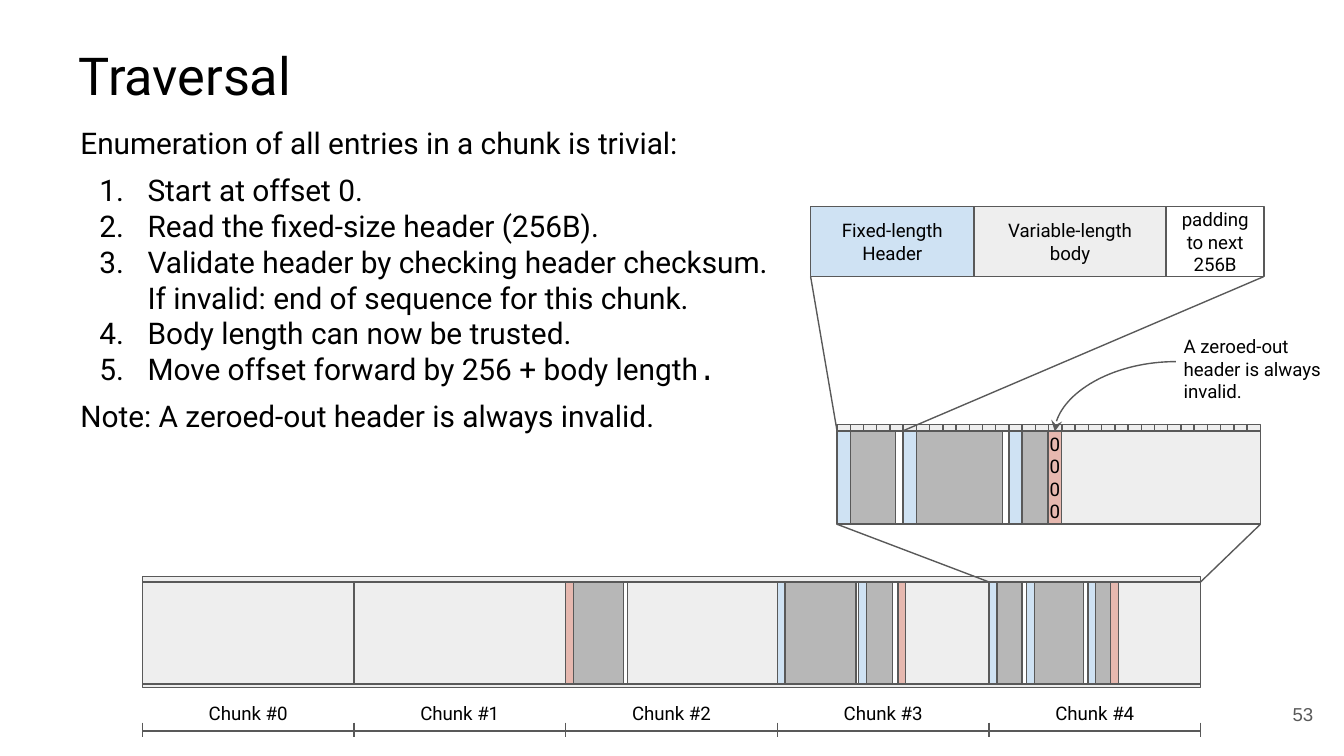
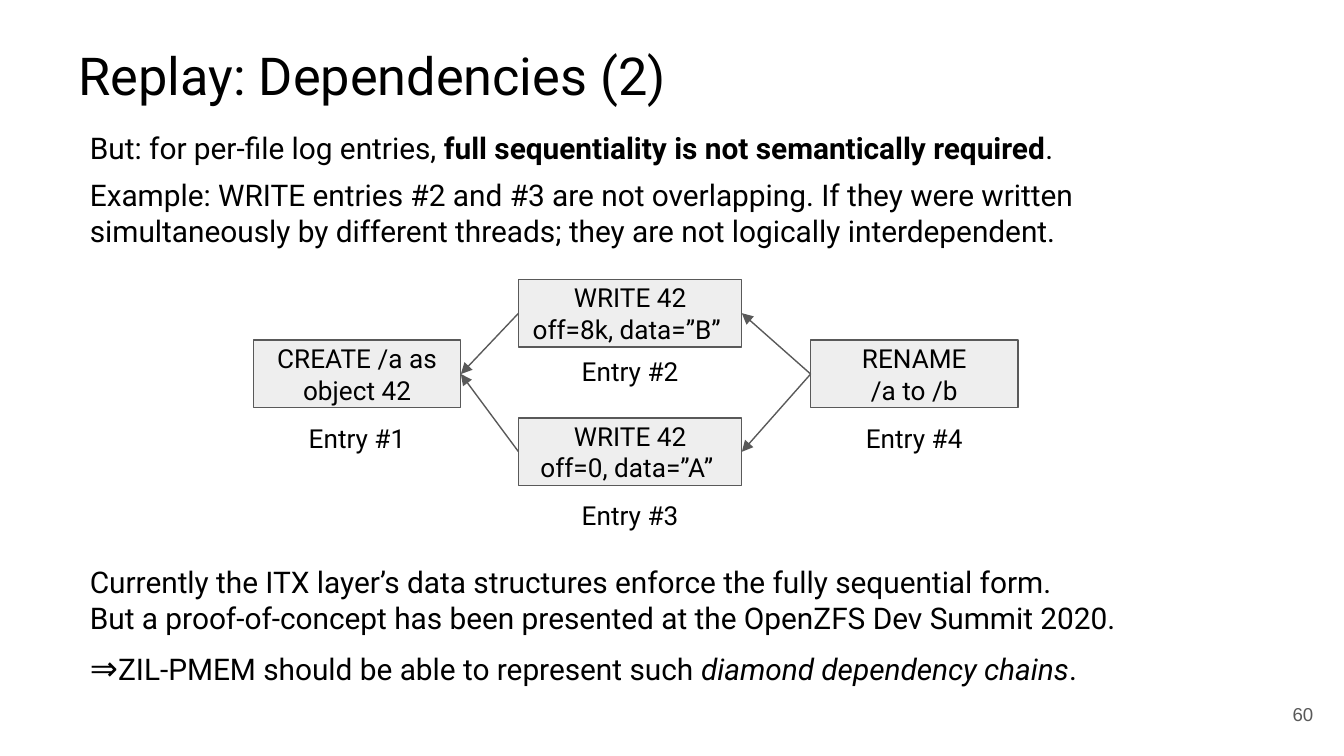
from copy import deepcopy
from dataclasses import dataclass, field
from typing import Any, NamedTuple, Optional

from lxml.etree import SubElement
from pptx import Presentation
from pptx.dml.color import RGBColor
from pptx.enum.shapes import MSO_CONNECTOR, MSO_SHAPE
from pptx.enum.text import MSO_ANCHOR, PP_ALIGN
from pptx.oxml.ns import qn
from pptx.shapes.autoshape import Shape
from pptx.shapes.connector import Connector
from pptx.slide import Slide
from pptx.util import Cm, Pt

BLACK = RGBColor(0x00, 0x00, 0x00)
WHITE = RGBColor(0xFF, 0xFF, 0xFF)
SLATE = RGBColor(0x59, 0x59, 0x59)
LIGHT = RGBColor(0xEE, 0xEE, 0xEE)
GREY = RGBColor(0xB7, 0xB7, 0xB7)
BLUE = RGBColor(0xCF, 0xE2, 0xF3)
RED = RGBColor(0xE6, 0xB8, 0xAF)

INSET = 0.25
CHUNK_COUNT, CHUNK_WIDTH = 5, 4
CHUNK_LEFT, CHUNK_TOP, CHUNK_HEIGHT = 2.69, 11, 1.93
CHUNK_RIGHT = CHUNK_LEFT + CHUNK_COUNT * CHUNK_WIDTH
ZOOM_LEFT, ZOOM_TOP, ZOOM_HEIGHT = 15.82, 8.15, 1.76
BLOCK_COUNT, BLOCK_WIDTH, BLOCK_HEIGHT = 32, 0.25, 0.12
ZOOM_WIDTH = BLOCK_COUNT * BLOCK_WIDTH
RECORD_LEFT, RECORD_TOP, RECORD_HEIGHT = 15.32, 3.91, 1.32
AXIS_TOP = 13.82
LEFT_SITE, RIGHT_SITE = 1, 3


class Frame(NamedTuple):
    """Place and size in centimetres."""

    left: float
    top: float
    width: float
    height: float

    def lengths(self) -> list[Cm]:
        """Return the four lengths for python-pptx."""
        return [Cm(value) for value in self]


class Segment(NamedTuple):
    """One coloured part of a strip."""

    fill: Optional[RGBColor]
    width: float


@dataclass(frozen=True)
class Span:
    """Text with its own font values."""

    text: str
    font: dict[str, Any] = field(default_factory=dict)


@dataclass(frozen=True)
class Para:
    """A paragraph with its spans and layout."""

    spans: tuple[Span, ...]
    layout: dict[str, Any] = field(default_factory=dict)
    numbered: bool = False


@dataclass(frozen=True)
class Style:
    """Shared look of a block of text."""

    size: float
    align: PP_ALIGN = PP_ALIGN.LEFT
    anchor: MSO_ANCHOR = MSO_ANCHOR.MIDDLE
    inset: float = INSET
    name: str = "Roboto"
    color: RGBColor = BLACK


TITLE = Style(28, anchor=MSO_ANCHOR.TOP)
BODY = Style(16, anchor=MSO_ANCHOR.TOP)
NUMBER = Style(10, PP_ALIGN.RIGHT, name="Arial", color=SLATE)
CALLOUT = Style(10)
SMALL = Style(10, PP_ALIGN.CENTER)
ZEROS = Style(10, PP_ALIGN.CENTER, inset=0)
ENTRY = Style(14, PP_ALIGN.CENTER)
SPACED = {"space_before": Pt(6), "space_after": Pt(6)}


def apply(target: Any, values: dict[str, Any]) -> None:
    """Set every named attribute on the target."""
    for name, value in values.items():
        setattr(target, name, value)


def plain(*texts: str) -> list[Para]:
    """Make one simple paragraph from each text."""
    return [Para((Span(text),)) for text in texts]


def write_span(para: Any, span: Span, style: Style) -> None:
    """Add a span, with a line break at each newline."""
    run = None
    for line in span.text.split("\n"):
        if run is not None:
            para.add_line_break()
            para._p[-1].append(deepcopy(run._r.rPr))
        run = para.add_run()
        run.text = line
        apply(run.font, {"size": Pt(style.size), "name": style.name, **span.font})
        run.font.color.rgb = style.color


def number(para: Any) -> None:
    """Give the paragraph an automatic number and hanging indent."""
    props = para._p.get_or_add_pPr()
    props.set("marL", str(Cm(1.27)))
    props.set("indent", str(Cm(-0.91)))
    color = SubElement(props, qn("a:buClr"))
    SubElement(color, qn("a:srgbClr"), val=str(BLACK))
    SubElement(props, qn("a:buAutoNum"), type="arabicPeriod")


def write(shape: Shape, paras: list[Para], style: Style) -> None:
    """Fill the shape with styled paragraphs."""
    frame = shape.text_frame
    margins = {f"margin_{side}": Cm(style.inset) for side in ("left", "right", "top", "bottom")}
    apply(frame, {"word_wrap": True, "vertical_anchor": style.anchor, **margins})
    for index, item in enumerate(paras):
        para = frame.add_paragraph() if index else frame.paragraphs[0]
        if item.numbered:
            number(para)
        apply(para, {"alignment": style.align, **item.layout})
        for span in item.spans:
            write_span(para, span, style)


def add_text(page: Slide, place: Frame, paras: list[Para], style: Style) -> None:
    """Add a text box."""
    write(page.shapes.add_textbox(*place.lengths()), paras, style)


def add_box(shapes: Any, place: Frame, fill: Optional[RGBColor]) -> Shape:
    """Add an outlined rectangle."""
    box = shapes.add_shape(MSO_SHAPE.RECTANGLE, *place.lengths())
    box.shadow.inherit = False
    if fill is None:
        box.fill.background()
    else:
        box.fill.solid()
        box.fill.fore_color.rgb = fill
    box.line.color.rgb = SLATE
    box.line.width = Pt(0.75)
    return box


def add_strip(shapes: Any, left: float, top: float, height: float,
              segments: list[Segment]) -> list[Shape]:
    """Add rectangles side by side."""
    boxes = []
    for segment in segments:
        boxes.append(add_box(shapes, Frame(left, top, segment.width, height), segment.fill))
        left += segment.width
    return boxes


def add_line(page: Slide, start: tuple[float, float], end: tuple[float, float],
             kind: MSO_CONNECTOR = MSO_CONNECTOR.STRAIGHT) -> Connector:
    """Add a thin connector without a shadow."""
    line = page.shapes.add_connector(kind, *(Cm(value) for value in (*start, *end)))
    line.line.color.rgb = SLATE
    line.line.width = Pt(0.75)
    SubElement(line.element.spPr, qn("a:effectLst"))
    return line


def add_head(line: Connector, end: str, kind: str) -> None:
    """Put an arrowhead on one end of a connector."""
    SubElement(line.element.spPr.find(qn("a:ln")), qn(f"a:{end}"), type=kind)


def add_page(deck: Any, title: str, page_number: int) -> Slide:
    """Add a slide with its title and number."""
    page = deck.slides.add_slide(deck.slide_layouts[6])
    add_text(page, Frame(1.24, 0.56, 22.56, 2.24), plain(title), TITLE)
    add_text(page, Frame(23.55, 12.95, 1.52, 1.09), plain(str(page_number)), NUMBER)
    return page


def draw_chunks(page: Slide) -> None:
    """Draw the row of chunks with its entries and axis."""
    add_box(page.shapes, Frame(CHUNK_LEFT, 10.9, CHUNK_RIGHT - CHUNK_LEFT, 2.1), LIGHT)
    add_strip(page.shapes, CHUNK_LEFT, CHUNK_TOP, CHUNK_HEIGHT,
              [Segment(LIGHT, CHUNK_WIDTH)] * CHUNK_COUNT)
    header, end = Segment(BLUE, 0.15), Segment(RED, 0.15)
    gap = Segment(WHITE, 0.08)
    entries = {
        2: [end, Segment(GREY, 0.94), gap],
        3: [header, Segment(GREY, 1.34), Segment(WHITE, 0.05),
            header, Segment(GREY, 0.49), Segment(WHITE, 0.1), end],
        4: [header, Segment(GREY, 0.48), gap, header, Segment(GREY, 0.93), gap,
            header, Segment(GREY, 0.28), end],
    }
    for index, segments in entries.items():
        add_strip(page.shapes, CHUNK_LEFT + index * CHUNK_WIDTH, CHUNK_TOP, CHUNK_HEIGHT, segments)
    add_line(page, (CHUNK_LEFT, AXIS_TOP), (CHUNK_RIGHT, AXIS_TOP))
    for index in range(CHUNK_COUNT + 1):
        left = CHUNK_LEFT + index * CHUNK_WIDTH
        add_line(page, (left, AXIS_TOP - 0.16), (left, AXIS_TOP + 0.12))
        if index < CHUNK_COUNT:
            add_text(page, Frame(left, 13.28, CHUNK_WIDTH, 0.41), plain(f"Chunk #{index}"), SMALL)


def draw_zoom(page: Slide) -> None:
    """Draw the enlarged chunk with its block ruler."""
    add_box(page.shapes, Frame(ZOOM_LEFT, ZOOM_TOP, ZOOM_WIDTH, ZOOM_HEIGHT), LIGHT)
    ruler = page.shapes.add_group_shape()
    add_strip(ruler.shapes, ZOOM_LEFT, ZOOM_TOP - BLOCK_HEIGHT, BLOCK_HEIGHT,
              [Segment(LIGHT, BLOCK_WIDTH)] * BLOCK_COUNT)
    header = Segment(BLUE, BLOCK_WIDTH)
    boxes = add_strip(page.shapes, ZOOM_LEFT, ZOOM_TOP, ZOOM_HEIGHT, [
        header, Segment(GREY, 0.86), Segment(WHITE, 0.14),
        header, Segment(GREY, 1.63), Segment(WHITE, 0.12),
        header, Segment(GREY, 0.49), Segment(RED, BLOCK_WIDTH)])
    write(boxes[-1], plain(*"0000"), ZEROS)


def draw_record(page: Slide) -> None:
    """Draw the parts of a single log entry."""
    parts = [Segment(BLUE, 3.09), Segment(LIGHT, 3.63), Segment(None, 1.85)]
    texts = [("Fixed-length", "Header"), ("Variable-length body",), ("padding to next", "256B")]
    boxes = add_strip(page.shapes, RECORD_LEFT, RECORD_TOP, RECORD_HEIGHT, parts)
    for box, lines in zip(boxes, texts):
        write(box, plain(*lines), SMALL)


def build_traversal(deck: Any) -> None:
    """Build the slide on walking through a chunk."""
    page = add_page(deck, "Traversal", 53)
    draw_chunks(page)
    draw_zoom(page)
    draw_record(page)
    zoom_bottom = ZOOM_TOP + ZOOM_HEIGHT
    record_bottom = RECORD_TOP + RECORD_HEIGHT
    add_line(page, (CHUNK_RIGHT - CHUNK_WIDTH, CHUNK_TOP), (ZOOM_LEFT, zoom_bottom))
    add_line(page, (CHUNK_RIGHT, CHUNK_TOP), (ZOOM_LEFT + ZOOM_WIDTH, zoom_bottom))
    add_line(page, (ZOOM_LEFT, ZOOM_TOP), (RECORD_LEFT, record_bottom))
    add_line(page, (17.05, ZOOM_TOP), (23.88, record_bottom))
    curve = add_line(page, (20.42, 6.35), (21.74, 8.64), MSO_CONNECTOR.CURVE)
    curve.element.spPr.find(qn("a:xfrm")).set("rot", "16200000")
    curve.element.spPr.find(qn("a:prstGeom")).set("prst", "curvedConnector2")
    add_head(curve, "headEnd", "stealth")
    add_text(page, Frame(22.12, 6.05, 3.23, 1.85),
             plain("A zeroed-out header is always invalid."), CALLOUT)
    steps = [
        (Span("Start at offset 0."),),
        (Span("Read the fixed-size header (256B)."),),
        (Span("Validate header by checking header checksum.\n"
              "If invalid: end of sequence for this chunk."),),
        (Span("Body length can now be trusted."),),
        (Span("Move offset forward by 256 + body length"), Span(".", {"name": "Courier New"})),
    ]
    add_text(page, Frame(1.27, 2.11, 13.94, 8.46), [
        *plain("Enumeration of all entries in a chunk is trivial:"),
        *(Para(spans, {"space_before": Pt(0 if index else 6)}, True)
          for index, spans in enumerate(steps)),
        Para((Span("Note: A zeroed-out header is always invalid."),), SPACED)], BODY)


def build_dependencies(deck: Any) -> None:
    """Build the slide on the diamond of log entries."""
    page = add_page(deck, "Replay: Dependencies (2)", 60)
    add_text(page, Frame(1.45, 2.21, 21.39, 2.84), [
        Para((Span("But: for per-file log entries, "),
              Span("full sequentiality is not semantically required", {"bold": True}),
              Span("."))),
        Para((Span("Example: WRITE entries #2 and #3 are not overlapping. If they were written "
                   "simultaneously by different threads; they are not logically "
                   "interdependent."),), SPACED)], BODY)
    entries = [
        (Frame(4.79, 6.43, 3.92, 1.28), "CREATE /a as object 42", 7.92),
        (Frame(9.8, 5.28, 4.22, 1.28), "WRITE 42\noff=8k, data=”B” ", 6.65),
        (Frame(9.8, 7.9, 4.22, 1.28), "WRITE 42\noff=0, data=”A” ", 9.37),
        (Frame(15.32, 6.43, 3.92, 1.28), "RENAME\n/a to /b", 7.92),
    ]
    boxes = []
    for index, (place, text, label_top) in enumerate(entries, 1):
        box = add_box(page.shapes, place, LIGHT)
        write(box, plain(text), ENTRY)
        boxes.append(box)
        add_text(page, Frame(place.left, label_top, place.width, 0.74),
                 plain(f"Entry #{index}"), ENTRY)
    create, write_b, write_a, rename = boxes
    for source, target in ((write_a, create), (write_b, create),
                           (rename, write_b), (rename, write_a)):
        arrow = add_line(page, (0, 0), (1, 1))
        arrow.begin_connect(source, LEFT_SITE)
        arrow.end_connect(target, RIGHT_SITE)
        add_head(arrow, "tailEnd", "triangle")
    add_text(page, Frame(1.45, 10.41, 21.39, 2.84), [
        *plain("Currently the ITX layer’s data structures enforce the fully sequential form.\n"
               "But a proof-of-concept has been presented at the OpenZFS Dev Summit 2020."),
        Para((Span("⇒", {"size": Pt(18)}),
              Span("ZIL-PMEM should be able to represent such "),
              Span("diamond dependency chains", {"italic": True}),
              Span(".")), SPACED)], BODY)


def main() -> None:
    """Build and save the deck."""
    deck = Presentation()
    apply(deck, {"slide_width": Cm(25.4), "slide_height": Cm(14.29)})
    build_traversal(deck)
    build_dependencies(deck)
    deck.save("out.pptx")


if __name__ == "__main__":
    main()
